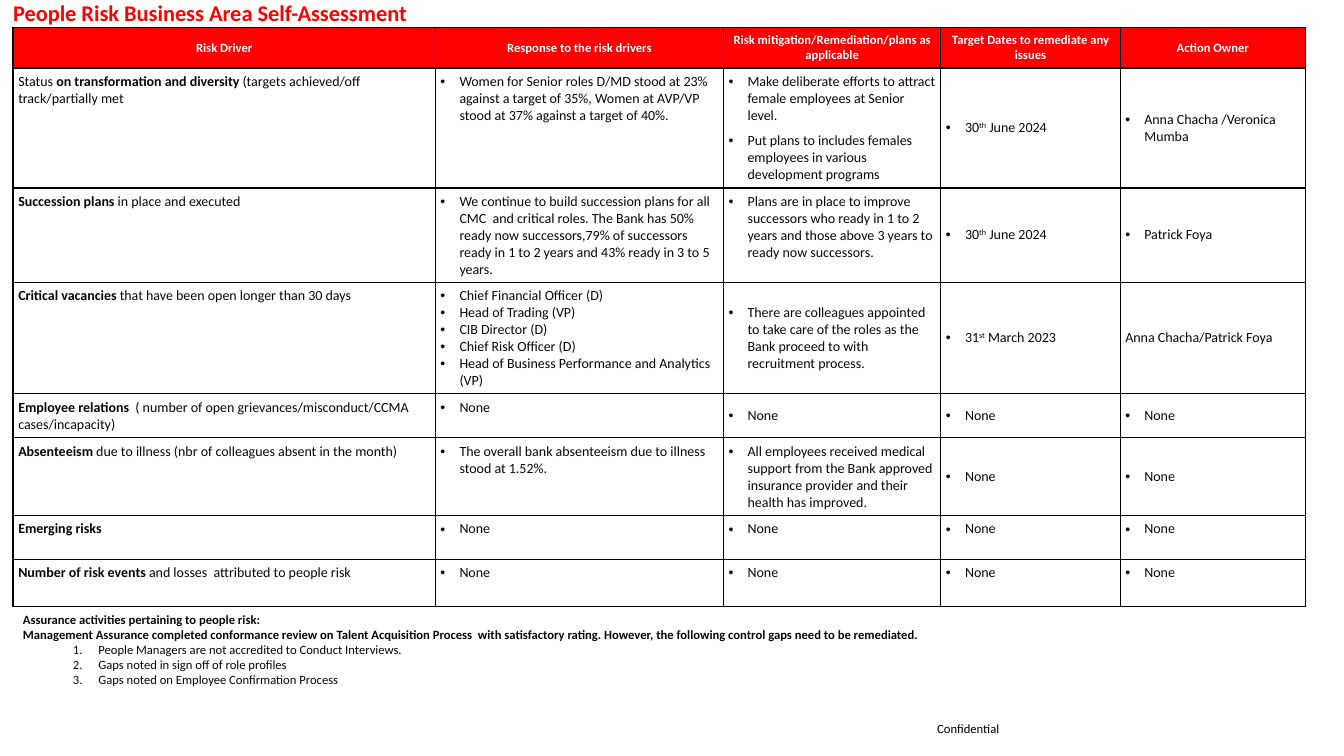
from dataclasses import dataclass

from lxml.etree import SubElement
from pptx import Presentation
from pptx.dml.color import RGBColor
from pptx.enum.text import MSO_ANCHOR, PP_ALIGN
from pptx.oxml import parse_xml
from pptx.oxml.ns import nsdecls, qn
from pptx.util import Cm, Pt


@dataclass(frozen=True)
class Theme:
    font: str = "Calibri"
    red: str = "FF0000"
    white: str = "FFFFFF"
    black: str = "000000"
    ink: str = "080808"
    title_size: int = 16
    body_size: int = 10
    small_size: int = 9
    border_width: int = 1


@dataclass(frozen=True)
class Box:
    left: float
    top: float
    width: float
    height: float

    def lengths(self):
        return Cm(self.left), Cm(self.top), Cm(self.width), Cm(self.height)


THEME = Theme()
INSET = 0.13
COLUMN_WIDTHS = [10.64, 7.26, 5.48, 4.52, 4.67]
ROW_HEIGHTS = [1.02, 3.02, 2.37, 2.8, 1.11, 1.96, 1.1, 1.2]
BULLET_INDENT = 0.48

HEADERS = ["Risk Driver", "Response to the risk drivers",
           "Risk mitigation/Remediation/plans as applicable",
           "Target Dates to remediate any issues", "Action Owner"]

# Text between bars is emphasised: bold for risk drivers, superscript for dates.
NONE = ["None"]
JUNE = ["30|th| June 2024"]
RISKS = [
    [["Status |on transformation and diversity |(targets achieved/off track/partially met"],
     ["Women for Senior roles D/MD stood at 23% against a target of 35%, "
      "Women at AVP/VP stood at 37% against a target of 40%."],
     ["Make deliberate efforts to attract female employees at Senior level.",
      "Put plans to includes females employees in various development programs"],
     JUNE, ["Anna Chacha /Veronica Mumba"]],
    [["|Succession plans |in place and executed"],
     ["We continue to build succession plans for all CMC  and critical roles. "
      "The Bank has 50% ready now successors,79% of successors ready in 1 to 2 years "
      "and 43% ready in 3 to 5 years."],
     ["Plans are in place to improve successors who ready in 1 to 2 years "
      "and those above 3 years to ready now successors."],
     JUNE, ["Patrick Foya"]],
    [["|Critical vacancies |that have been open longer than 30 days"],
     ["Chief Financial Officer (D)", "Head of Trading (VP)", "CIB Director (D)",
      "Chief Risk Officer (D)", "Head of Business Performance and Analytics (VP)"],
     ["There are colleagues appointed to take care of the roles as the Bank "
      "proceed to with recruitment process."],
     ["31|st| March 2023"], ["Anna Chacha/Patrick Foya"]],
    [["|Employee relations | ( number of open grievances/misconduct/CCMA cases/incapacity)"],
     NONE, NONE, NONE, NONE],
    [["|Absenteeism| due to illness (nbr of colleagues absent in the month)"],
     ["The overall bank absenteeism due to illness stood at 1.52%."],
     ["All employees received medical support from the Bank approved insurance "
      "provider and their health has improved."],
     NONE, NONE],
    [["|Emerging risks|"], NONE, NONE, NONE, NONE],
    [["|Number of risk events |and losses  attributed to people risk"],
     NONE, NONE, NONE, NONE],
]
TOP_ANCHORED = {(2, 2)} | {(row, column) for row in (6, 7) for column in (2, 3, 4)}
UNBULLETED = {(3, 4)}

ASSURANCE = [
    "Assurance activities pertaining to people risk:",
    "Management Assurance completed conformance review on Talent Acquisition Process  "
    "with satisfactory rating. However, the following control gaps need to be remediated.",
]
CONTROL_GAPS = ["People Managers are not accredited to Conduct Interviews.",
                "Gaps noted in sign off of role profiles",
                "Gaps noted on Employee Confirmation Process"]


def style_font(font, size, color, bold=False):
    font.name = THEME.font
    font.size = Pt(size)
    font.bold = bold
    font.color.rgb = RGBColor.from_string(color)


def write_runs(paragraph, text, size, color, bold=False):
    paragraph.text = text
    for run in paragraph.runs:
        style_font(run.font, size, color, bold)


def write_emphasised(paragraph, text, superscript):
    for position, piece in enumerate(text.split("|")):
        if not piece:
            continue
        emphasised = position % 2 == 1
        run = paragraph.add_run()
        run.text = piece
        style_font(run.font, THEME.body_size, THEME.ink, emphasised and not superscript)
        if emphasised and superscript:
            run.font._element.set("baseline", "30000")


def add_list_mark(paragraph, left, hanging, tag, **attributes):
    properties = paragraph._p.get_or_add_pPr()
    properties.set("marL", str(Cm(left)))
    properties.set("indent", str(-Cm(hanging)))
    SubElement(properties, qn("a:buFont"), typeface="Arial" if tag == "a:buChar" else "+mj-lt")
    SubElement(properties, qn(tag), **attributes)


def paragraphs_for(text_frame, count):
    return [text_frame.paragraphs[0]] + [text_frame.add_paragraph() for _ in range(count - 1)]


def add_borders(cell):
    properties = cell._tc.get_or_add_tcPr()
    for position, side in enumerate("LRTB"):
        properties.insert(position, parse_xml(
            f'<a:ln{side} {nsdecls("a")} w="{Pt(THEME.border_width)}"><a:solidFill>'
            f'<a:srgbClr val="{THEME.black}"/></a:solidFill></a:ln{side}>'))


def fill_header(cell, text):
    cell.fill.solid()
    cell.fill.fore_color.rgb = RGBColor.from_string(THEME.red)
    cell.vertical_anchor = MSO_ANCHOR.MIDDLE
    paragraph = cell.text_frame.paragraphs[0]
    write_runs(paragraph, text, THEME.small_size, THEME.white, True)
    paragraph.alignment = PP_ALIGN.CENTER


def fill_body(cell, texts, row, column):
    cell.fill.background()
    top = column < 2 or (row, column) in TOP_ANCHORED
    cell.vertical_anchor = MSO_ANCHOR.TOP if top else MSO_ANCHOR.MIDDLE
    for index, paragraph in enumerate(paragraphs_for(cell.text_frame, len(texts))):
        if column > 0 and (row, column) not in UNBULLETED:
            add_list_mark(paragraph, BULLET_INDENT, BULLET_INDENT, "a:buChar", char="•")
        if column > 1:
            paragraph.space_after = Pt(3)
            if index:
                paragraph.space_before = Pt(3)
        write_emphasised(paragraph, texts[index], superscript=column > 0)


def add_risk_table(slide, box):
    table = slide.shapes.add_table(len(ROW_HEIGHTS), len(COLUMN_WIDTHS), *box.lengths()).table
    table.first_row = table.horz_banding = False
    for column, width in zip(table.columns, COLUMN_WIDTHS):
        column.width = Cm(width)
    for row, height in zip(table.rows, ROW_HEIGHTS):
        row.height = Cm(height)
    for row_index, contents in enumerate([HEADERS] + RISKS):
        for column_index, content in enumerate(contents):
            cell = table.cell(row_index, column_index)
            cell.margin_left = cell.margin_right = Cm(INSET)
            cell.margin_top = cell.margin_bottom = Cm(INSET)
            if row_index == 0:
                fill_header(cell, content)
            else:
                fill_body(cell, content, row_index, column_index)
            add_borders(cell)


def add_text_box(slide, box):
    text_frame = slide.shapes.add_textbox(*box.lengths()).text_frame
    text_frame.word_wrap = True
    return text_frame


def add_label(slide, box, text, size, color, bold=False):
    text_frame = add_text_box(slide, box)
    text_frame.margin_left = text_frame.margin_right = 0
    text_frame.margin_top = text_frame.margin_bottom = 0
    text_frame.vertical_anchor = MSO_ANCHOR.MIDDLE if bold else MSO_ANCHOR.TOP
    write_runs(text_frame.paragraphs[0], text, size, color, bold)


def add_assurance_notes(slide, box):
    texts = ASSURANCE + CONTROL_GAPS
    for index, paragraph in enumerate(paragraphs_for(add_text_box(slide, box), len(texts))):
        is_gap = index >= len(ASSURANCE)
        if is_gap:
            paragraph.level = 1
            add_list_mark(paragraph, 1.9, 0.64, "a:buAutoNum", type="arabicPeriod")
        write_runs(paragraph, texts[index], THEME.small_size, THEME.ink, not is_gap)


def main():
    presentation = Presentation()
    presentation.slide_width, presentation.slide_height = Cm(33.87), Cm(19.05)
    slide = presentation.slides.add_slide(presentation.slide_layouts[6])
    add_label(slide, Box(0.33, -0.03, 31.6, 0.69), "People Risk Business Area Self-Assessment",
              THEME.title_size, THEME.red, True)
    add_label(slide, Box(23.62, 18.16, 10.25, 0.38), "Confidential", THEME.small_size, THEME.black)
    add_risk_table(slide, Box(0.33, 0.69, sum(COLUMN_WIDTHS), sum(ROW_HEIGHTS)))
    add_assurance_notes(slide, Box(0.33, 15.29, 32.56, 2.18))
    presentation.save("out.pptx")


if __name__ == "__main__":
    main()
